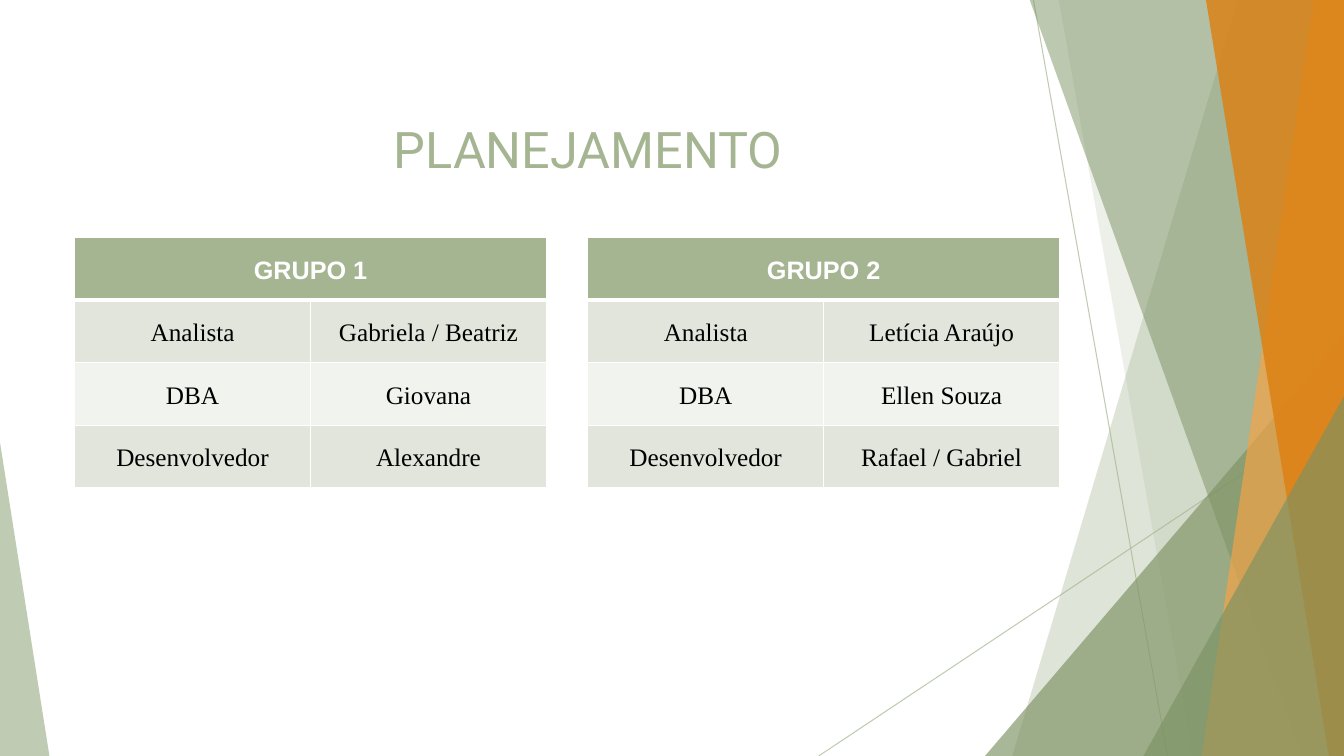
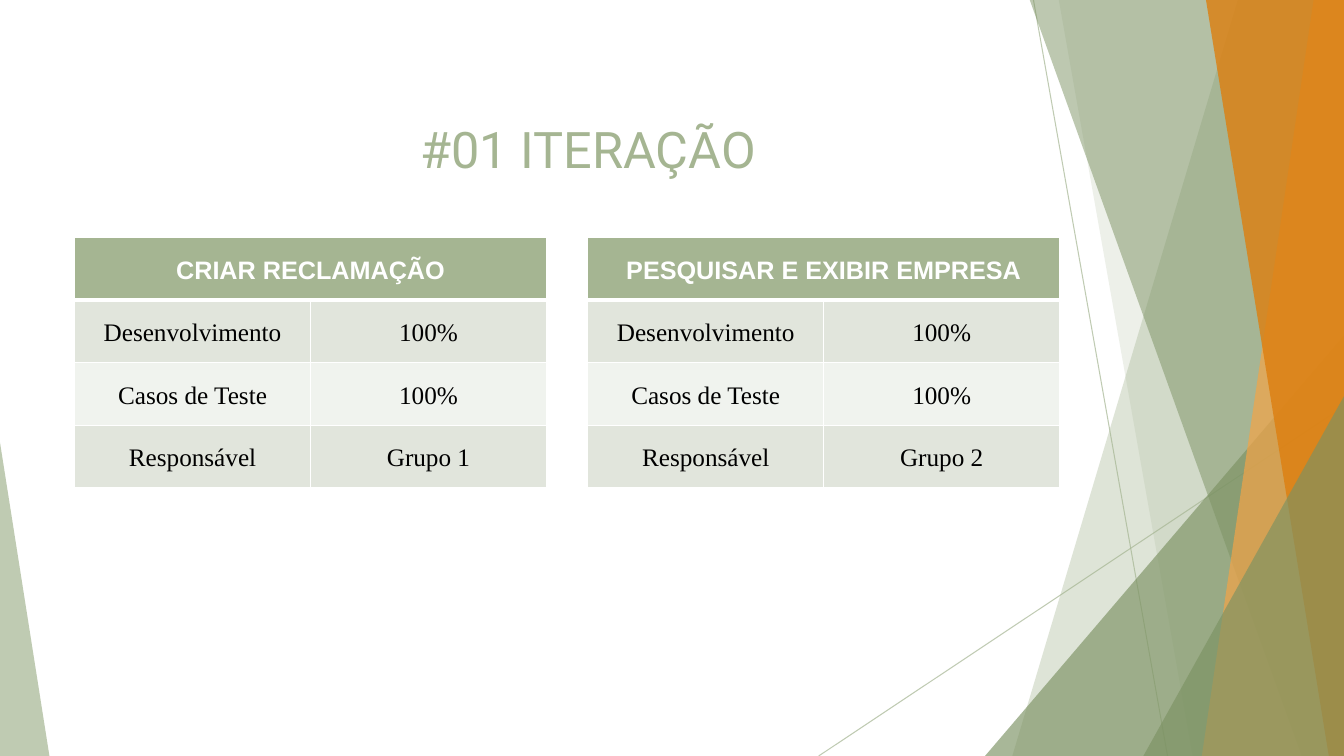
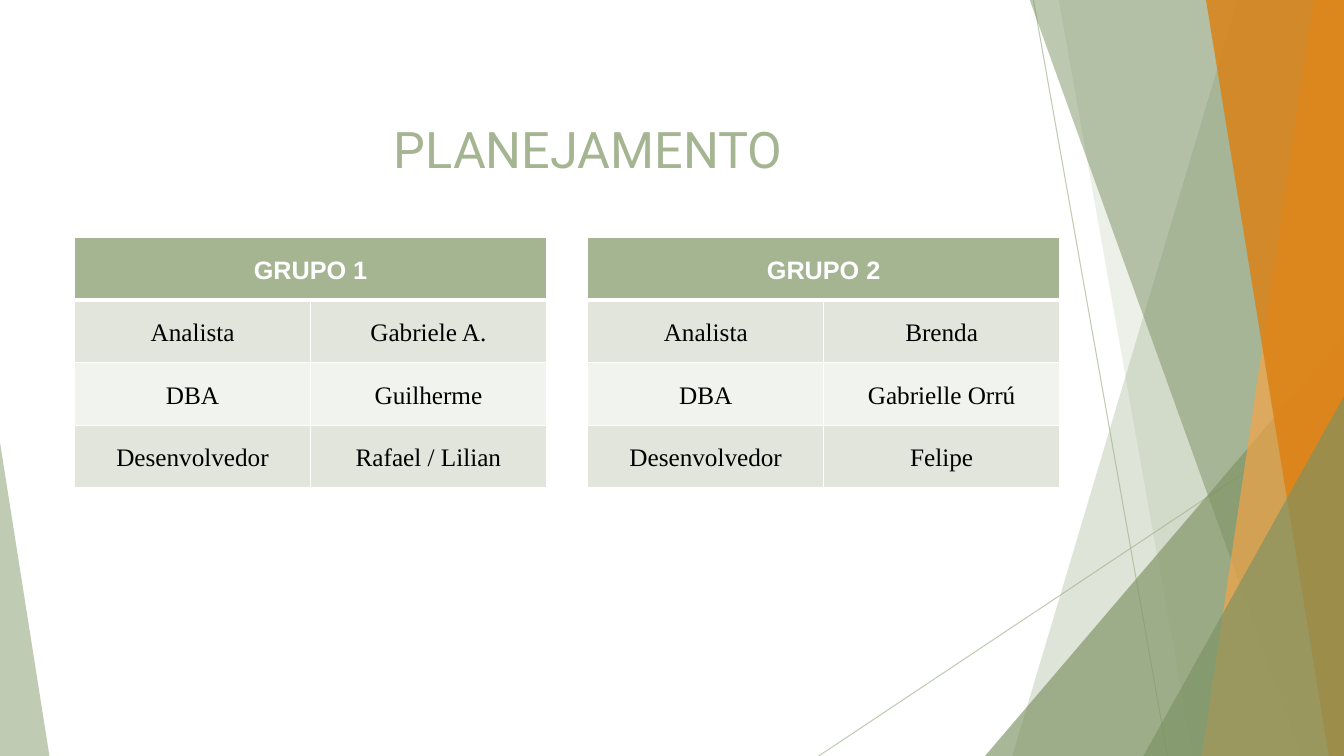
import lxml.etree
import pptx
import pptx.dml.color
import pptx.enum.shapes
import pptx.enum.text
import pptx.oxml.ns
import pptx.util

Inches = pptx.util.Inches
Pt = pptx.util.Pt
qn = pptx.oxml.ns.qn
CENTER = pptx.enum.text.PP_ALIGN.CENTER

WIDE, HIGH = 13.33, 7.5
SAGE, MOSS, AMBER, RUST = "A5B592", "7C9263", "F3A447", "DD7E0E"
WHITE, BLACK = "FFFFFF", "000000"
STRIPES = ["E1E5DC", "F0F3EE"]

ROLES = ["Analista", "DBA", "Desenvolvedor"]
TASKS = ["Desenvolvimento", "Casos de Teste", "Responsável"]
SLIDES = [
    ("PLANEJAMENTO", ROLES, [
        ("GRUPO 1", ["Gabriela / Beatriz", "Giovana", "Alexandre"]),
        ("GRUPO 2", ["Letícia Araújo", "Ellen Souza", "Rafael / Gabriel"]),
    ]),
    ("#01 ITERAÇÃO", TASKS, [
        ("CRIAR RECLAMAÇÃO", ["100%", "100%", "Grupo 1"]),
        ("PESQUISAR E EXIBIR EMPRESA", ["100%", "100%", "Grupo 2"]),
    ]),
    ("PLANEJAMENTO", ROLES, [
        ("GRUPO 1", ["Gabriele A.", "Guilherme", "Rafael / Lilian"]),
        ("GRUPO 2", ["Brenda", "Gabrielle Orrú", "Felipe"]),
    ]),
]

LINES = [(10.25, 0, 11.58, HIGH), (WIDE, 4.03, 8.12, HIGH)]
FACETS = [
    ("band", (12.28, 10.04), SAGE, 36),
    ("band", (10.5, 11.83), SAGE, 20),
    ("peak", (9.77, 3.33, 3.56, 1), MOSS, 66),
    ("band", (10.21, 12.91), MOSS, 50),
    ("band", (13.03, 11.92), AMBER, 70),
    ("band", (11.96, 13.18), RUST, 80),
    ("peak", (11.34, 3.93, 1.99, 1), MOSS, 66),
    ("peak", (0, 4.39, 0.49, 0), SAGE, 70),
]
BAND_TOP = -0.01

LEFT, TOP, STEP = 0.74, 2.36, 5.09
CELL_W, CELL_H = 2.34, 0.62


def tint(color):
    return pptx.dml.color.RGBColor.from_string(color)


def fade(shape, alpha):
    for color in shape.element.iter(qn("a:srgbClr")):
        lxml.etree.SubElement(color, qn("a:alpha")).set("val", str(alpha * 1000))


def add_line(shapes, ends):
    line = shapes.add_connector(
        pptx.enum.shapes.MSO_CONNECTOR.STRAIGHT, *[Inches(v) for v in ends])
    line.line.color.rgb = tint(SAGE)
    line.line.width = Pt(0.75)
    fade(line, 70)
    lxml.etree.SubElement(line.element.spPr, qn("a:effectLst"))
    return line


def add_band(shapes, top_x, base_x):
    points = [(top_x, BAND_TOP), (WIDE, BAND_TOP), (WIDE, HIGH), (base_x, HIGH)]
    points = [(Inches(x), Inches(y)) for x, y in points]
    build = shapes.build_freeform(*points[0])
    build.add_line_segments(points[1:], close=True)
    return build.convert_to_shape()


def add_peak(shapes, left, top, width, tip):
    peak = shapes.add_shape(
        pptx.enum.shapes.MSO_SHAPE.ISOSCELES_TRIANGLE,
        Inches(left), Inches(top), Inches(width), Inches(HIGH - top))
    peak.adjustments[0] = tip
    return peak


def add_facet(shapes, kind, spot, color, alpha):
    facet = (add_band if kind == "band" else add_peak)(shapes, *spot)
    facet.shadow.inherit = False
    facet.fill.solid()
    facet.fill.fore_color.rgb = tint(color)
    facet.line.fill.background()
    fade(facet, alpha)
    return facet


def dress(layout, slide):
    for holder in list(layout.placeholders):
        if holder.placeholder_format.idx:
            layout.shapes.element.remove(holder.element)
    parts = [add_line(slide.shapes, ends) for ends in LINES]
    parts += [add_facet(slide.shapes, *facet) for facet in FACETS]
    for spot, part in enumerate(parts, 2):
        layout.shapes.element.insert(spot, part.element)


def style(para, font, size, color, bold=False):
    para.alignment = CENTER
    para.font.name = font
    para.font.size = Pt(size)
    para.font.bold = bold
    para.font.color.rgb = tint(color)


def set_title(slide, text):
    title = slide.shapes.title
    title.left, title.top = Inches(-0.57), Inches(1.12)
    title.width, title.height = Inches(12.81), Inches(0.71)
    frame = title.text_frame
    frame.text = text
    frame.vertical_anchor = pptx.enum.text.MSO_ANCHOR.MIDDLE
    frame.auto_size = pptx.enum.text.MSO_AUTO_SIZE.SHAPE_TO_FIT_TEXT
    style(frame.paragraphs[0], "Roboto", 36, SAGE)


def edge(cell, head):
    props = cell._tc.get_or_add_tcPr()
    for side in "LRTB":
        width = Pt(3 if head and side == "B" else 1)
        line = lxml.etree.SubElement(props, qn("a:ln" + side), w=str(width))
        fill = lxml.etree.SubElement(line, qn("a:solidFill"))
        lxml.etree.SubElement(fill, qn("a:srgbClr"), val=WHITE)


def add_grid(slide, left, head, labels, values):
    rows = [(head, "")] + list(zip(labels, values))
    table = slide.shapes.add_table(
        len(rows), 2, Inches(left), Inches(TOP),
        Inches(2 * CELL_W), Inches(len(rows) * CELL_H)).table
    table.cell(0, 0).merge(table.cell(0, 1))
    for r, row in enumerate(rows):
        for c, text in enumerate(row):
            cell = table.cell(r, c)
            edge(cell, r == 0)
            cell.fill.solid()
            cell.fill.fore_color.rgb = tint(STRIPES[(r - 1) % 2] if r else SAGE)
            if not text:
                continue
            cell.text = text
            para = cell.text_frame.paragraphs[0]
            para.line_spacing = 1.5
            if r:
                style(para, "Times New Roman", 18, BLACK)
            else:
                style(para, "Arial", 18, WHITE, True)


def main():
    deck = pptx.Presentation()
    deck.slide_width, deck.slide_height = Inches(WIDE), Inches(HIGH)
    layout = deck.slide_layouts[5]
    for n, (title, labels, grids) in enumerate(SLIDES):
        slide = deck.slides.add_slide(layout)
        if n == 0:
            dress(layout, slide)
        set_title(slide, title)
        for g, (head, values) in enumerate(grids):
            add_grid(slide, LEFT + g * STEP, head, labels, values)
    deck.save("out.pptx")


if __name__ == "__main__":
    main()
